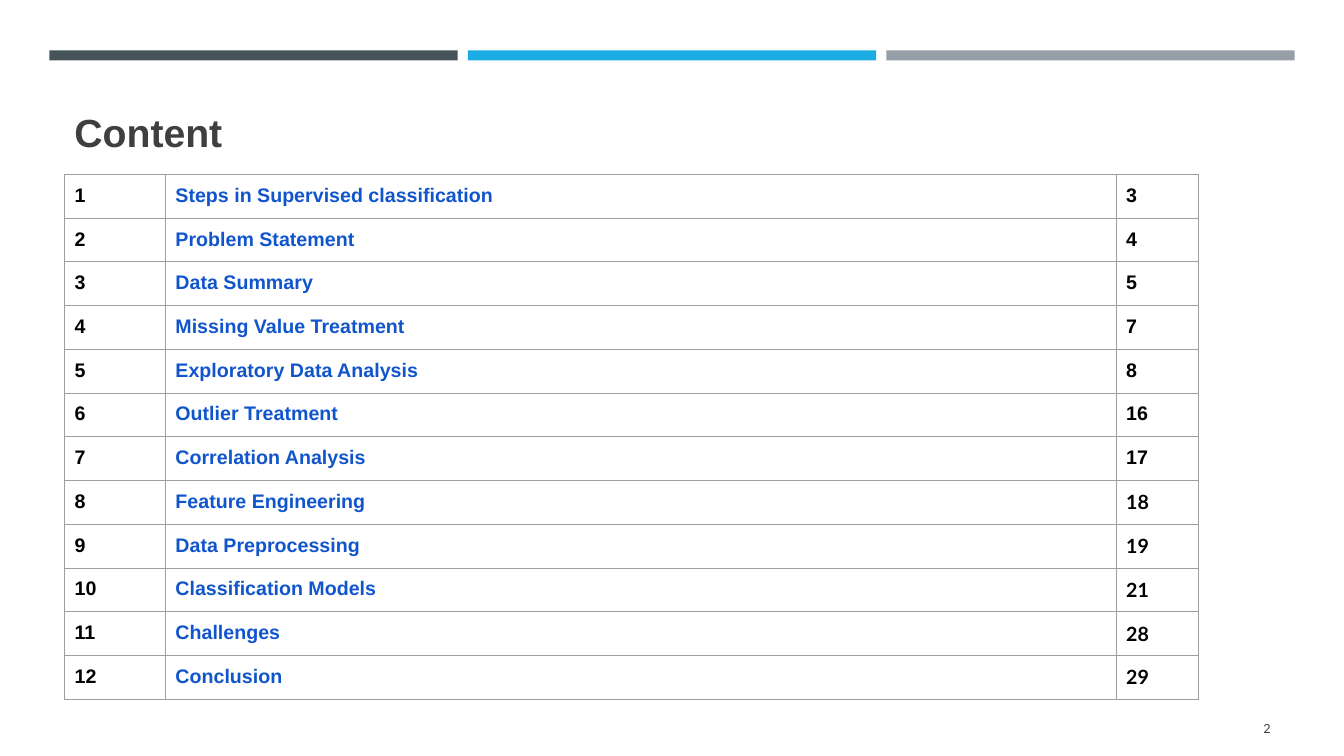
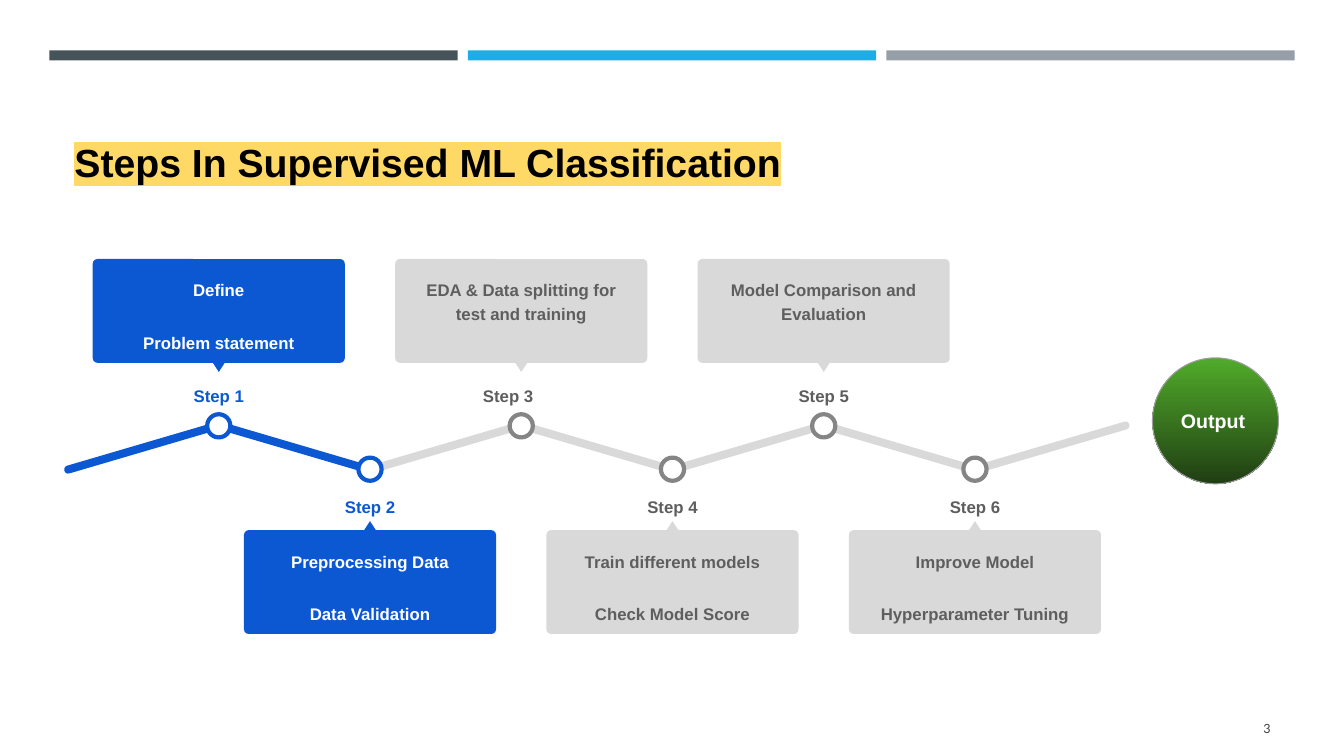
import pptx
import pptx.util
import pptx.dml.color
import pptx.enum.shapes
import pptx.enum.text
import pptx.oxml.ns
from lxml import etree
from pptx.util import Inches

SHAPE = pptx.enum.shapes.MSO_SHAPE
ALIGN = pptx.enum.text.PP_ALIGN
ANCHOR = pptx.enum.text.MSO_ANCHOR


class Theme:
    font, number_font = "Arial", "Lato"
    title_size, body_size, step_size, footer_size = 28, 14, 12, 9
    black, white, dark, grid = "000000", "FFFFFF", "3F3F3F", "9E9E9E"
    link, highlight = "1155CC", "FFD966"
    done, pending, pending_ring, pending_text = "0C58D3", "D9D9D9", "858585", "5E5E5E"
    bands = ("465359", "1CADE4", "969FA7")
    output_gradient = ("51AB2A", "203E13")


# Content
CONTENTS = [
    ("Steps in Supervised classification", 3),
    ("Problem Statement", 4),
    ("Data Summary", 5),
    ("Missing Value Treatment", 7),
    ("Exploratory Data Analysis", 8),
    ("Outlier Treatment", 16),
    ("Correlation Analysis", 17),
    ("Feature Engineering", 18),
    ("Data Preprocessing", 19),
    ("Classification Models", 21),
    ("Challenges", 28),
    ("Conclusion", 29),
]
FIRST_NUMBER_FONT_PAGE = 18
STEPS = [
    ["Define", "Problem statement"],
    ["Preprocessing Data", "Data Validation"],
    ["EDA & Data splitting for test and training"],
    ["Train different models", "Check Model Score"],
    ["Model Comparison and Evaluation"],
    ["Improve Model", "Hyperparameter Tuning"],
]
DONE_STEPS = 2
LEFT_ALIGNED_STEP = 3


# Shared helpers
def rgb(color):
    return pptx.dml.color.RGBColor.from_string(color)


def add_xml(parent, tag, **attributes):
    return etree.SubElement(parent, pptx.oxml.ns.qn(tag), attributes)


def write(frame, lines, size, color, font=Theme.font, bold=True, align=ALIGN.LEFT,
          inset=(0.1, 0.05), anchor=ANCHOR.TOP, line_spacing=None, gap=0):
    frame.word_wrap = True
    frame.vertical_anchor = anchor
    frame.margin_left = frame.margin_right = Inches(inset[0])
    frame.margin_top = frame.margin_bottom = Inches(inset[1])
    frame.text = "\n".join(lines)
    for index, paragraph in enumerate(frame.paragraphs):
        paragraph.alignment = align
        if line_spacing:
            paragraph.line_spacing = line_spacing
        if index:
            paragraph.space_before = pptx.util.Pt(gap)
        for run in paragraph.runs:
            run.font.name, run.font.bold = font, bold
            run.font.size = pptx.util.Pt(size)
            run.font.color.rgb = rgb(color)


def add_text(shapes, left, top, width, height, lines, size, color, **style):
    box = shapes.add_textbox(Inches(left), Inches(top), Inches(width), Inches(height))
    write(box.text_frame, lines, size, color, **style)
    return box


def add_shape(shapes, kind, left, top, width, height, fill=None, line=None, line_width=0):
    shape = shapes.add_shape(kind, Inches(left), Inches(top), Inches(width), Inches(height))
    shape.shadow.inherit = False
    if fill:
        shape.fill.solid()
        shape.fill.fore_color.rgb = rgb(fill)
    if line:
        shape.line.color.rgb = rgb(line)
        shape.line.width = pptx.util.Pt(line_width)
    else:
        shape.line.fill.background()
    return shape


def add_base_slide(presentation, title, number, title_height, title_color, highlight=None):
    slide = presentation.slides.add_slide(presentation.slide_layouts[6])
    for index, color in enumerate(Theme.bands):
        add_shape(slide.shapes, SHAPE.RECTANGLE, 0.49 + 4.15 * index, 0.5, 4.05, 0.1, color)
    box = add_text(slide.shapes, 0.64, 0.77, 12.06, title_height, [title],
                   Theme.title_size, title_color, anchor=ANCHOR.BOTTOM)
    if highlight:
        properties = box.text_frame.paragraphs[0].runs[0].font.fill
        properties = box.text_frame.paragraphs[0].runs[0]._r.get_or_add_rPr()
        mark = add_xml(properties, "a:highlight")
        add_xml(mark, "a:srgbClr", val=highlight)
        properties.find(pptx.oxml.ns.qn("a:solidFill")).addnext(mark)
    add_text(slide.shapes, 11.55, 7.03, 1.15, 0.4, [str(number)], Theme.footer_size, Theme.dark,
             font=Theme.number_font, bold=False, align=ALIGN.RIGHT, anchor=ANCHOR.MIDDLE)
    return slide


# Contents slide
def style_cell(cell, text, color, font):
    write(cell.text_frame, [text], Theme.body_size, color, font=font)
    cell.margin_left = cell.margin_right = cell.margin_top = cell.margin_bottom = Inches(0.1)
    properties = cell._tc.get_or_add_tcPr()
    for side in ("a:lnL", "a:lnR", "a:lnT", "a:lnB"):
        border = add_xml(properties, side, w=str(pptx.util.Pt(0.75)))
        add_xml(add_xml(border, "a:solidFill"), "a:srgbClr", val=Theme.grid)
    cell.fill.background()


def build_contents(presentation):
    slide = add_base_slide(presentation, "Content", 2, 0.82, Theme.dark)
    widths, row_height = (1, 9.43, 0.82), 0.42
    table = slide.shapes.add_table(
        len(CONTENTS), len(widths), Inches(0.64), Inches(1.73),
        Inches(sum(widths)), Inches(row_height * len(CONTENTS))).table
    table.first_row = table.horz_banding = False
    for column, width in zip(table.columns, widths):
        column.width = Inches(width)
    for index, (topic, page) in enumerate(CONTENTS):
        table.rows[index].height = Inches(row_height)
        page_font = Theme.number_font if page >= FIRST_NUMBER_FONT_PAGE else Theme.font
        style_cell(table.cell(index, 0), str(index + 1), Theme.black, Theme.font)
        style_cell(table.cell(index, 1), topic, Theme.link, Theme.font)
        style_cell(table.cell(index, 2), str(page), Theme.black, page_font)


# Process slide
def add_path_segment(slide, index, pitch):
    color = Theme.done if index < DONE_STEPS else Theme.pending
    width = 1.63
    segment = add_shape(slide.shapes, SHAPE.ROUNDED_RECTANGLE,
                        1.42 + pitch * index - width / 2, 4.4, width, 0.08, color)
    segment.adjustments[0] = 0.5
    segment.rotation = 16.4 if index % 2 else 343.6


def add_step(slide, number, lines, center):
    done, above = number <= DONE_STEPS, number % 2 == 1
    fill = Theme.done if done else Theme.pending
    ring = Theme.done if done else Theme.pending_ring
    label_color = Theme.done if done else Theme.pending_text
    text_color = Theme.white if done else Theme.pending_text
    card_top, pointer_top, label_top, node_top = (
        (2.57, 3.59, 3.68, 4.11) if above else (5.26, 5.17, 4.78, 4.54))
    shapes = slide.shapes.add_group_shape().shapes

    card = add_shape(shapes, SHAPE.ROUNDED_RECTANGLE, center - 1.25, card_top, 2.5, 1.03, fill)
    card.adjustments[0] = 0.045
    pointer = add_shape(shapes, SHAPE.ISOSCELES_TRIANGLE,
                        center - 0.065, pointer_top, 0.13, 0.1, fill)
    pointer.rotation = 180 if above else 0
    add_shape(shapes, SHAPE.OVAL, center - 0.115, node_top, 0.23, 0.23, Theme.white, ring, 3)

    style = dict(inset=(0.13, 0.13), line_spacing=1.15, gap=21)
    add_text(shapes, center - 1.185, card_top + 0.05, 2.37, 1 if len(lines) > 1 else 0.7, lines,
             Theme.step_size, text_color, align=ALIGN.CENTER, **style)
    label_align = ALIGN.LEFT if number == LEFT_ALIGNED_STEP else ALIGN.CENTER
    add_text(shapes, center - 0.51, label_top, 1.02, 0.4, [f"Step {number}"],
             Theme.step_size, label_color, align=label_align, **style)


def build_process(presentation):
    slide = add_base_slide(presentation, "Steps In Supervised ML Classification", 3, 1.12,
                           Theme.black, Theme.highlight)
    pitch = 1.5
    for index in reversed(range(len(STEPS) + 1)):
        add_path_segment(slide, index, pitch)
    for index, lines in enumerate(STEPS):
        add_step(slide, index + 1, lines, 2.17 + pitch * index)

    output = add_shape(slide.shapes, SHAPE.OVAL, 11.43, 3.55, 1.25, 1.25,
                       line=Theme.grid, line_width=0.75)
    output.fill.gradient()
    output.fill.gradient_angle = 270
    for position, (stop, color) in enumerate(zip(output.fill.gradient_stops,
                                                 Theme.output_gradient)):
        stop.position = position
        stop.color.rgb = rgb(color)
    write(output.text_frame, ["Output"], Theme.body_size, Theme.white,
          inset=(0.1, 0.1), anchor=ANCHOR.MIDDLE)


def main():
    presentation = pptx.Presentation()
    presentation.slide_width, presentation.slide_height = Inches(13.33), Inches(7.5)
    build_contents(presentation)
    build_process(presentation)
    presentation.save("out.pptx")


if __name__ == "__main__":
    main()
